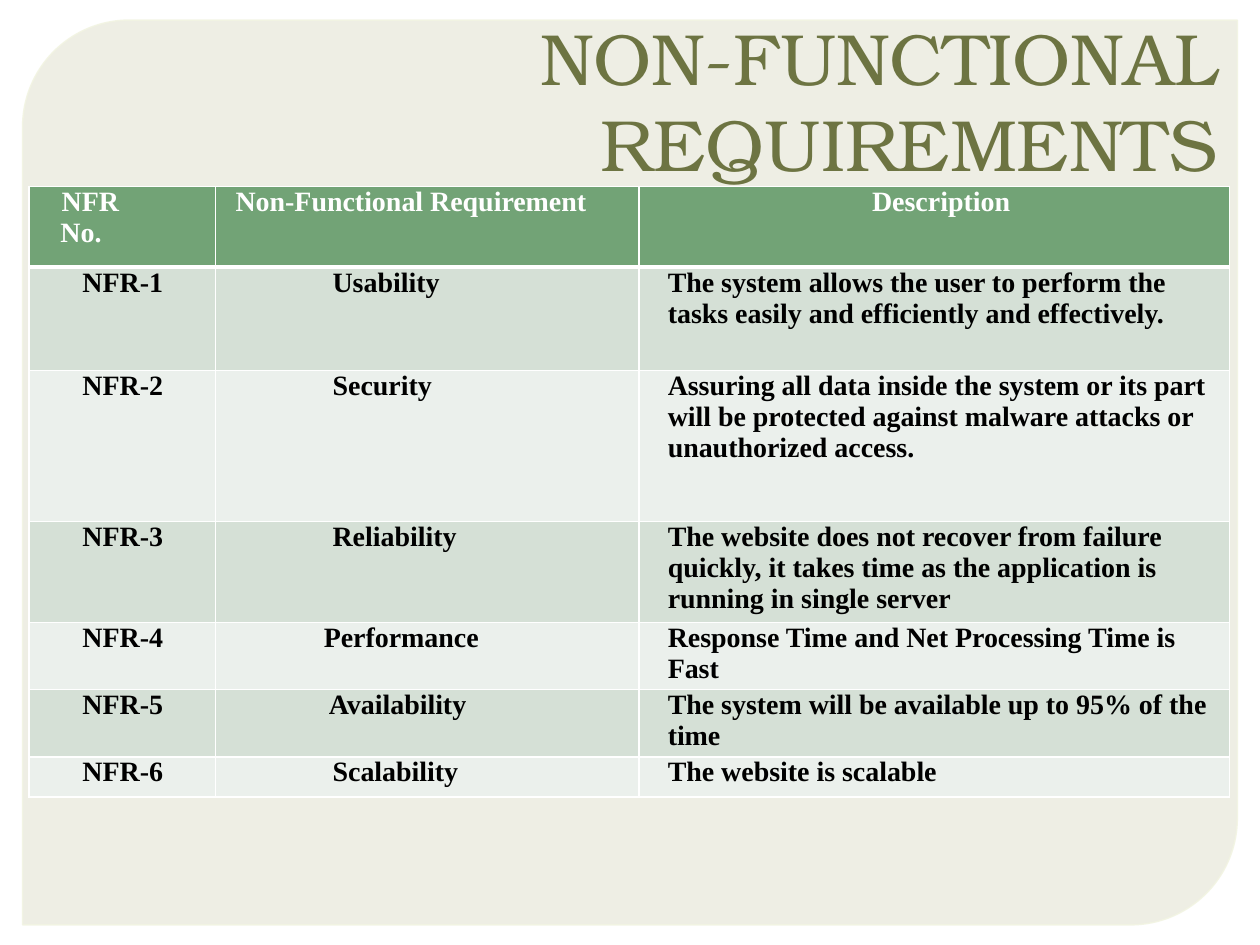
"""Build the slide of non-functional requirements."""
from lxml import etree
from pptx import Presentation
from pptx import util as u
from pptx.dml import color as dml
from pptx.enum import shapes, text
from pptx.oxml import ns

WHITE, GREEN, DARK, LIGHT = "FFFFFF", "72A376", "D5E0D6", "EBF0EC"
COLS = [1.48, 3.36, 4.69]
ROWS = [0.64, 0.82, 1.2, 0.41, 0.41, 0.41, 0.32]
NEEDS = [
    ("Usability", 0.93, "The system allows the user to perform the tasks "
     "easily and efficiently and effectively."),
    ("Security", 0.93, "Assuring all data inside the system or its part will "
     "be protected against malware attacks or unauthorized access."),
    ("Reliability", 0.93, "The website does not recover from failure quickly, "
     "it takes time as the application is running in single server"),
    ("Performance", 0.86, "Response Time and Net Processing Time is Fast"),
    ("Availability", 0.9, "The system will be available up to 95% of the time"),
    ("Scalability", 0.93, "The website is scalable"),
]


def paint(part, code):
    """Give a fill or line one solid colour."""
    part.solid()
    part.fore_color.rgb = dml.RGBColor.from_string(code)


def fade(props, share):
    """Set the opacity of the first colour in a block, in percent."""
    tint = next(props.iter(ns.qn("a:srgbClr")))
    etree.SubElement(tint, ns.qn("a:alpha"), val=str(share * 1000))


def write(para, words, size, font, code, bold=False):
    """Add one styled run to a paragraph."""
    run = para.add_run()
    run.text = words
    run.font.size, run.font.name, run.font.bold = u.Pt(size), font, bold
    paint(run.font.fill, code)


def panel(slide):
    """Draw the pale panel with two round corners."""
    shape = slide.shapes.add_shape(
        shapes.MSO_SHAPE.ROUND_2_DIAG_RECTANGLE,
        u.Inches(0.18), u.Inches(0.16), u.Inches(9.64), u.Inches(7.18))
    shape.adjustments[0] = 0.118
    shape.shadow.inherit = False
    paint(shape.fill, "E5E6D7")
    fade(shape.fill._xPr.find(ns.qn("a:solidFill")), 65)
    paint(shape.line.fill, "F2F4E2")
    shape.line.width = u.Pt(0.87)
    fade(shape.line._ln, 88)


def title(slide, words):
    """Add the right-aligned heading."""
    frame = slide.shapes.add_textbox(
        u.Inches(0.31), u.Inches(0.23), u.Inches(9.45), u.Inches(1.25)).text_frame
    frame.word_wrap = True
    frame.margin_bottom = 0
    frame.vertical_anchor = text.MSO_ANCHOR.BOTTOM
    para = frame.paragraphs[0]
    para.alignment = text.PP_ALIGN.RIGHT
    write(para, words, 41.4, "TeX Gyre Bonum", "6D7442")


def edge(cell, side, width):
    """Draw one white border of a cell."""
    line = etree.SubElement(cell._tc.get_or_add_tcPr(), ns.qn("a:ln" + side),
                            w=str(u.Pt(width)))
    fill = etree.SubElement(line, ns.qn("a:solidFill"))
    etree.SubElement(fill, ns.qn("a:srgbClr"), val=WHITE)


def fill(cell, lines, back, ink, mid=False, top=1, base=1):
    """Style a cell and write its lines, each a pair of indent and words."""
    cell.margin_left = cell.margin_right = 0
    cell.margin_top = cell.margin_bottom = 0
    for side, width in zip("LRTB", (1, 1, top, base)):
        edge(cell, side, width)
    paint(cell.fill, back)
    frame = cell.text_frame
    for num, (indent, words) in enumerate(lines):
        para = frame.add_paragraph() if num else frame.paragraphs[0]
        para.alignment = text.PP_ALIGN.CENTER if mid else text.PP_ALIGN.LEFT
        para._p.get_or_add_pPr().set("marL", str(u.Inches(indent)))
        write(para, words, 16, "Times New Roman", ink, True)


def grid(slide):
    """Add the table of requirements."""
    table = slide.shapes.add_table(
        len(ROWS), len(COLS), u.Inches(0.23), u.Inches(1.48),
        u.Inches(sum(COLS)), u.Inches(sum(ROWS))).table
    for col, width in zip(table.columns, COLS):
        col.width = u.Inches(width)
    for row, height in zip(table.rows, ROWS):
        row.height = u.Inches(height)
    heads = [[(0.26, "NFR"), (0.25, "No.")],
             [(0.16, "Non-Functional Requirement")],
             [(0.11, "Description")]]
    for col, lines in enumerate(heads):
        fill(table.cell(0, col), lines, GREEN, WHITE, mid=col == 2, base=3)
    for row, (name, indent, about) in enumerate(NEEDS, 1):
        back = DARK if row % 2 else LIGHT
        cells = [(0.01, f"NFR-{row}"), (indent, name), (0.23, about)]
        for col, line in enumerate(cells):
            fill(table.cell(row, col), [line], back, "000000",
                 mid=col == 0, top=3 if row == 1 else 1)


def main():
    """Build and save the slide."""
    deck = Presentation()
    deck.slide_width, deck.slide_height = u.Inches(10), u.Inches(7.5)
    slide = deck.slides.add_slide(deck.slide_layouts[6])
    paint(slide.background.fill, WHITE)
    panel(slide)
    title(slide, "NON-FUNCTIONAL REQUIREMENTS")
    grid(slide)
    deck.save("out.pptx")


main()
